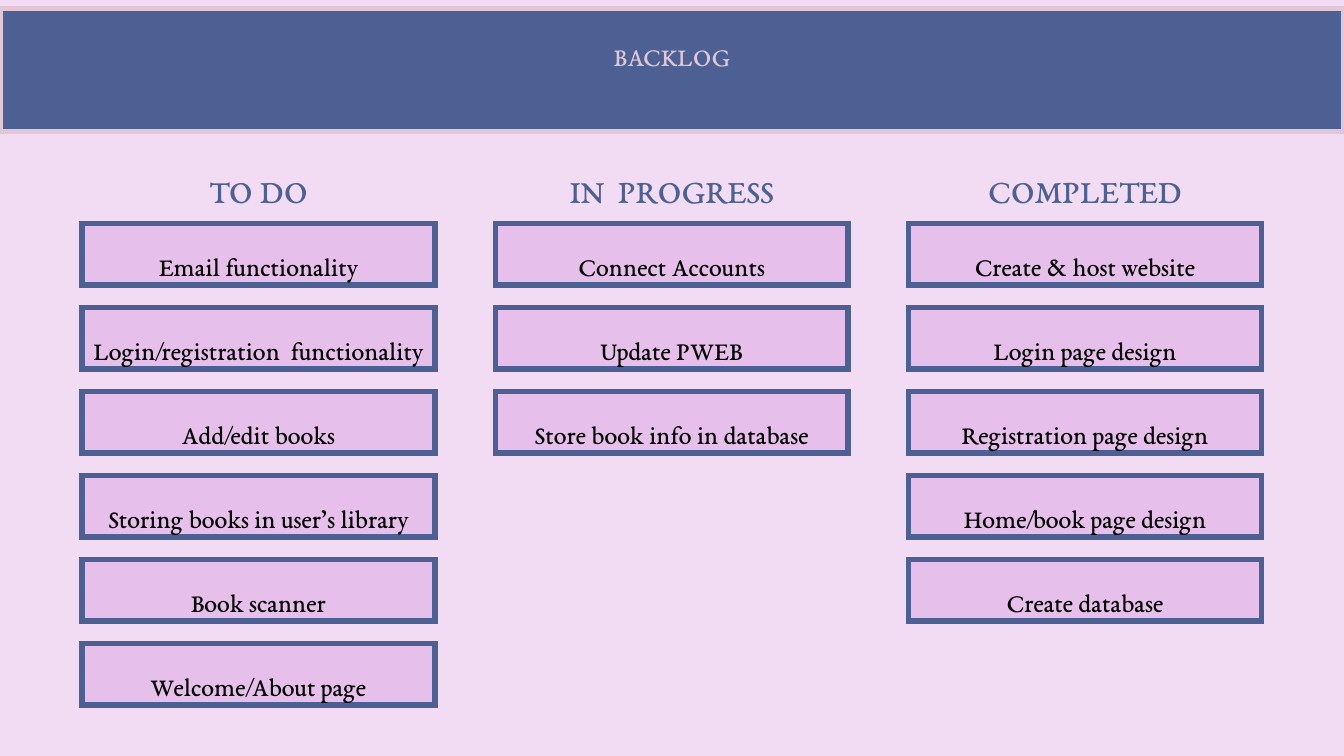
from lxml import etree
from pptx import Presentation
from pptx.dml.color import RGBColor
from pptx.enum.shapes import MSO_SHAPE
from pptx.enum.text import MSO_ANCHOR as Anchor, PP_ALIGN as Align
from pptx.oxml.ns import qn
from pptx.util import Pt

FONT = "EB Garamond"
LILAC, ORCHID, BLUE, ROSE, BLACK = "F1DCF3", "E7BFEB", "4C6094", "E1C6D6", "000000"

SLIDE_W, SLIDE_H = 720, 405
BANNER_BOX = (0, 4.6, SLIDE_W, 65.8)
BOARD_LEFT, BOARD_TOP = 44, 83.7
COLUMN_W, COLUMN_PITCH = 189, 221.4
HEADING_W, HEADING_H = 169, 36
CARD_H, CARD_PITCH = 33.1, 45

BOARD = {
    "TO DO": [
        "Email functionality",
        "Login/registration  functionality",
        "Add/edit books",
        "Storing books in user’s library",
        "Book scanner",
        "Welcome/About page",
    ],
    "IN  PROGRESS": [
        "Connect Accounts",
        "Update PWEB",
        "Store book info in database",
    ],
    "COMPLETED": [
        "Create & host website",
        "Login page design",
        "Registration page design",
        "Home/book page design",
        "Create database",
    ],
}


def color(hex_string):
    return RGBColor.from_string(hex_string)


def set_all(target, values):
    for name, value in values.items():
        setattr(target, name, value)


def write(frame, words, size, ink, spacing=None, **frame_format):
    set_all(frame, {"word_wrap": True, **frame_format})
    paragraph = frame.paragraphs[0]
    set_all(paragraph, {"alignment": Align.CENTER, "line_spacing": spacing})
    run = paragraph.add_run()
    run.text = words
    set_all(run.font, {"name": FONT, "size": Pt(size)})
    run.font.color.rgb = color(ink)


def insets(points):
    sides = ("left", "top", "right", "bottom")
    return {f"margin_{side}": Pt(points) for side in sides}


def add_panel(slide, box, fill, border):
    """Add a rectangle with a sharp-cornered 3 pt border."""
    panel = slide.shapes.add_shape(MSO_SHAPE.RECTANGLE, *map(Pt, box))
    panel.shadow.inherit = False
    panel.fill.solid()
    panel.fill.fore_color.rgb = color(fill)
    panel.line.color.rgb = color(border)
    panel.line.width = Pt(3)
    etree.SubElement(panel.line._get_or_add_ln(), qn("a:miter"), lim="800000")
    return panel


def add_label(slide, box, words, size, ink, **frame_format):
    label = slide.shapes.add_textbox(*map(Pt, box))
    write(label.text_frame, words, size, ink, **frame_format)


def add_banner(slide, box, title):
    left, top, width, _ = box
    add_panel(slide, box, BLUE, ROSE)
    title_w = 217.4
    title_box = (left + (width - title_w) / 2, top + 13.5, title_w, 34.6)
    add_label(slide, title_box, title, 14, ROSE)


def add_column(slide, left, top, heading, tasks):
    heading_box = (left + (COLUMN_W - HEADING_W) / 2, top, HEADING_W, HEADING_H)
    add_label(slide, heading_box, heading, 18, BLUE, **insets(7.2))
    for row, task in enumerate(tasks):
        card_top = top + HEADING_H + row * CARD_PITCH
        card = add_panel(slide, (left, card_top, COLUMN_W, CARD_H), ORCHID, BLUE)
        write(card.text_frame, task, 14, BLACK, spacing=1.73,
              vertical_anchor=Anchor.MIDDLE, **insets(2))


def main():
    deck = Presentation()
    set_all(deck, {"slide_width": Pt(SLIDE_W), "slide_height": Pt(SLIDE_H)})
    slide = deck.slides.add_slide(deck.slide_layouts[6])
    slide.background.fill.solid()
    slide.background.fill.fore_color.rgb = color(LILAC)

    add_banner(slide, BANNER_BOX, "BACKLOG")
    for index, (heading, tasks) in enumerate(BOARD.items()):
        add_column(slide, BOARD_LEFT + index * COLUMN_PITCH, BOARD_TOP, heading, tasks)
    deck.save("out.pptx")


if __name__ == "__main__":
    main()
